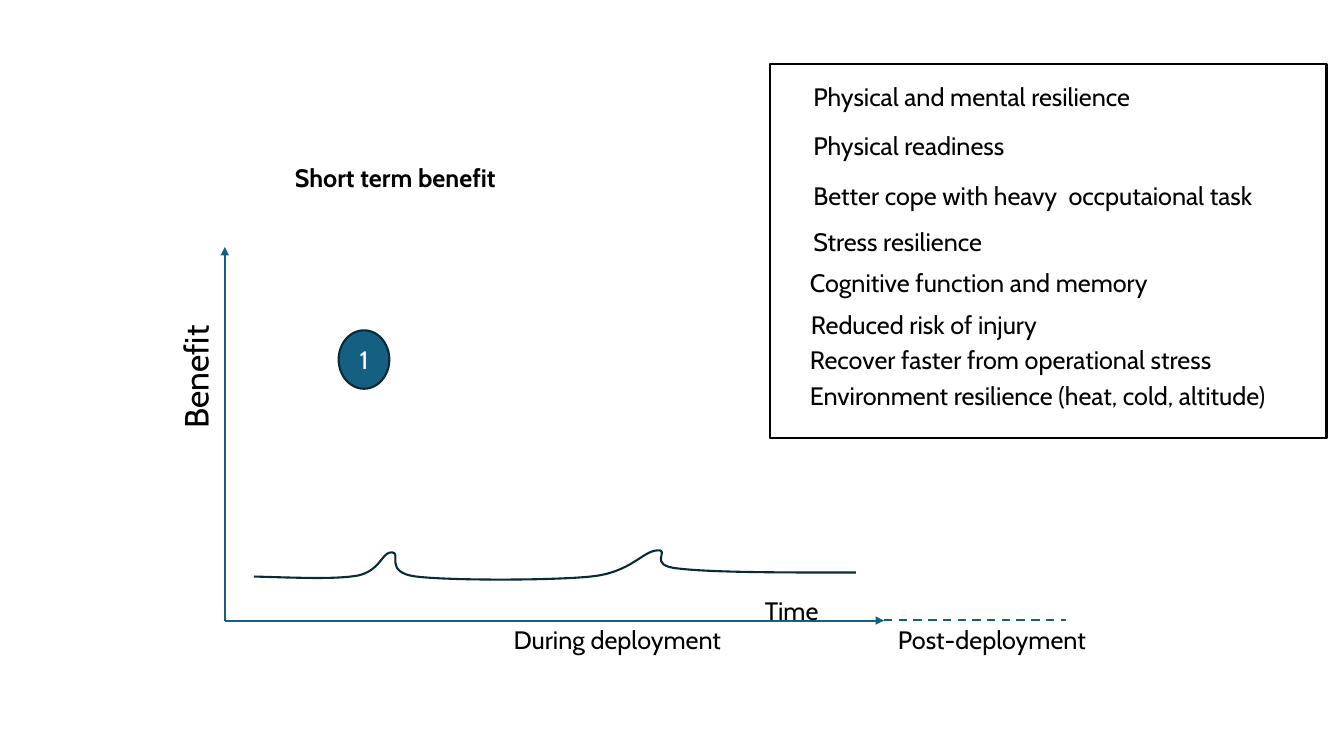
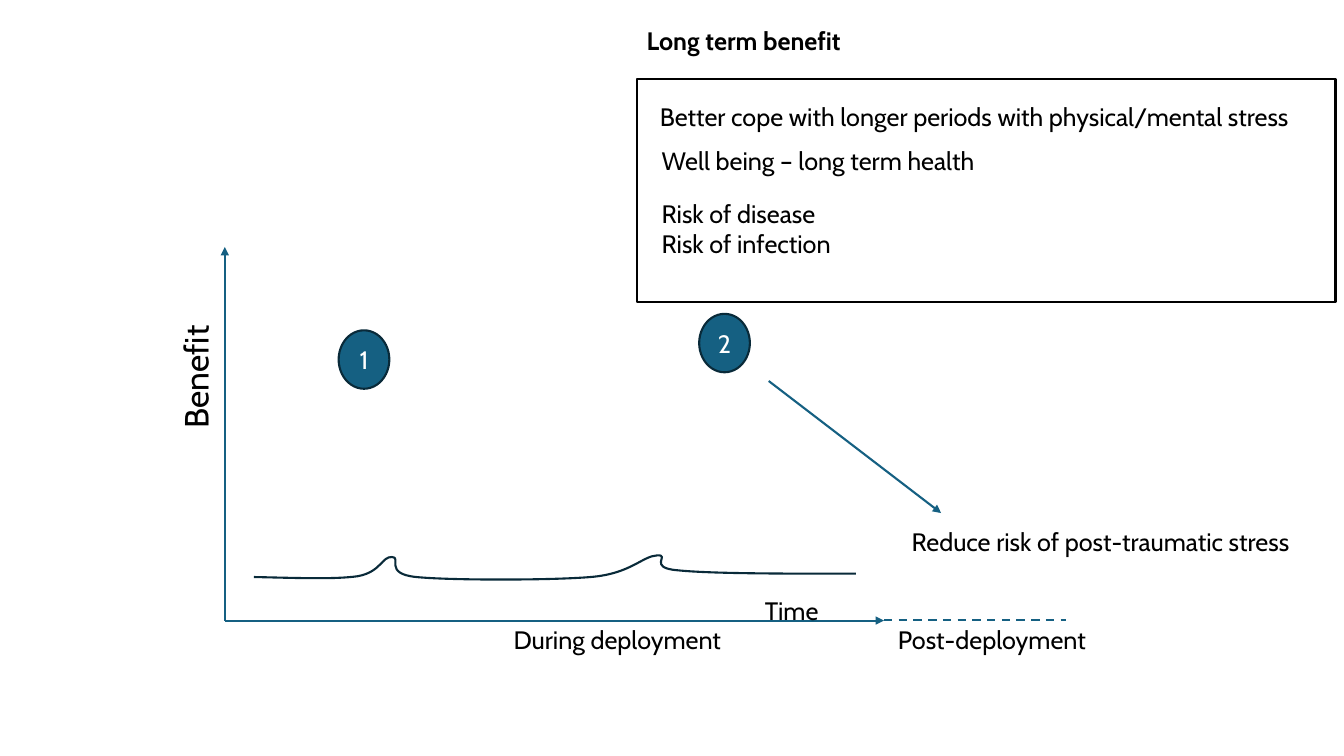
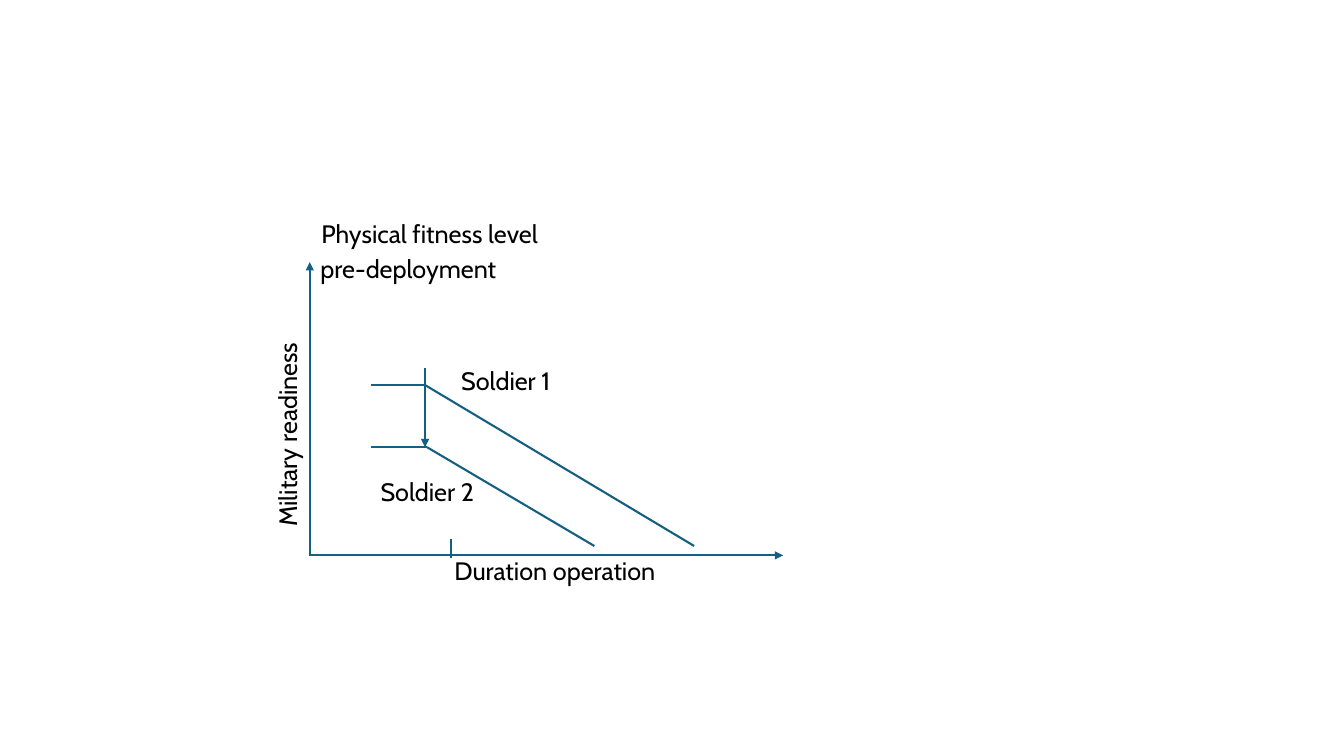
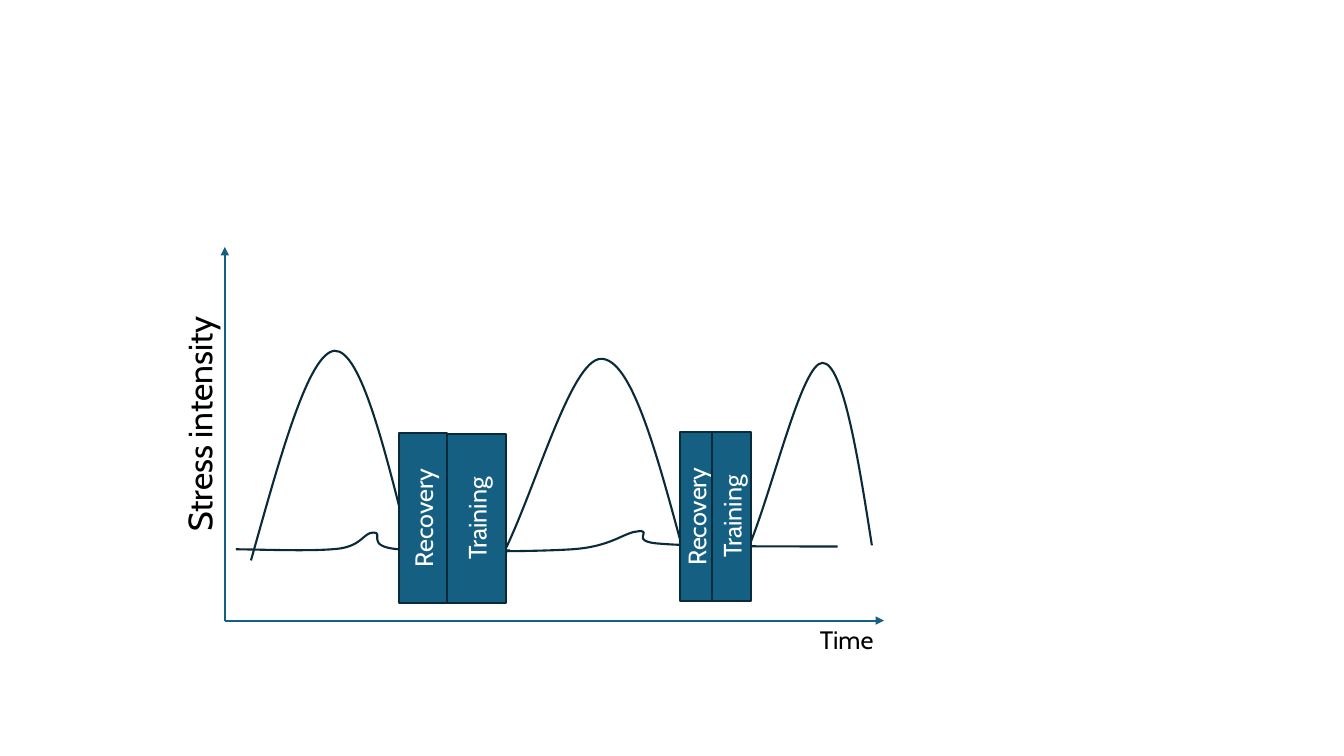
"""Build four slides on readiness, stress and the benefits of fitness in deployment."""
from lxml.etree import SubElement
from pptx import Presentation
from pptx.dml.color import RGBColor as RGB
from pptx.enum.dml import MSO_LINE
from pptx.enum.shapes import MSO_CONNECTOR as CONN, MSO_SHAPE as SHP
from pptx.enum.text import MSO_AUTO_SIZE as AUTO, PP_ALIGN as ALIGN
from pptx.oxml.ns import qn
from pptx.util import Pt

PX = 3048
FONT = "Cabin"
C = {"blue": "156082", "navy": "092A39", "black": "000000", "white": "FFFFFF"}


def add_text(s, text, x, y, w, h=121, size=18, bold=False, rot=0, wrap=False, shape=None):
    box = [v * PX for v in (x, y, w, h)]
    if shape is None:
        sp = s.shapes.add_textbox(*box)
        sp.text_frame.auto_size = AUTO.SHAPE_TO_FIT_TEXT
        sp.text_frame.word_wrap = wrap
    else:
        sp = s.shapes.add_shape(shape, *box)
        sp.shadow.inherit = False
        sp.fill.solid()
        sp.fill.fore_color.rgb = RGB.from_string(C["blue"])
        sp.line.color.rgb = RGB.from_string(C["navy"])
        sp.line.width = Pt(1.5)
    sp.rotation = rot
    tf = sp.text_frame
    for i, line in enumerate(text.split("\n")):
        p = tf.add_paragraph() if i else tf.paragraphs[0]
        p.alignment = ALIGN.CENTER if shape else ALIGN.LEFT
        r = p.add_run()
        r.text = line
        r.font.name = FONT
        r.font.size = Pt(size)
        r.font.bold = bold
        r.font.color.rgb = RGB.from_string(C["white" if shape else "black"])


def add_line(s, x1, y1, x2, y2, arrow=False, dash=False):
    cn = s.shapes.add_connector(CONN.STRAIGHT, x1 * PX, y1 * PX, x2 * PX, y2 * PX)
    cn.line.color.rgb = RGB.from_string(C["blue"])
    cn.line.width = Pt(1.5)
    if dash:
        cn.line.dash_style = MSO_LINE.DASH
    if arrow:
        SubElement(cn.line._get_or_add_ln(), qn("a:tailEnd"), type="triangle")
    SubElement(cn._element.spPr, qn("a:effectLst"))


prs = Presentation()
prs.slide_width, prs.slide_height = 4000 * PX, 2250 * PX
short, long, soldiers, stress = [prs.slides.add_slide(prs.slide_layouts[6]) for _ in range(4)]

for s in (short, long, stress):
    add_line(s, 669, 1847, 2631, 1847, arrow=True)
    add_line(s, 669, 1847, 669, 735, arrow=True)

wave_grid = (597, 29)
wave = [(0, 26), (40, 27), (80, 29), (103, 25), (126, 20), (127, 1), (137, 2), (147, 2),
        (128, 22), (161, 26), (194, 30), (294, 30), (334, 26), (374, 22), (385, 1), (400, 0),
        (414, -1), (389, 15), (421, 18), (454, 22), (525, 22), (597, 22)]
peaks_grid = (616, 208)
peaks = [(0, 208), (29, 105), (57, 2), (83, 0), (109, -1), (133, 98), (158, 198),
         (158, 198), (244, 199), (244, 199), (244, 199), (266, 198), (252, 198),
         (283, 134), (318, 9), (347, 8), (377, 7), (402, 100), (427, 192),
         (427, 192), (495, 192), (495, 192), (519, 132), (547, 12), (567, 12),
         (587, 12), (602, 103), (616, 193)]
for s, pts, grid, box in ((stress, peaks, peaks_grid, (747, 1044, 1848, 624)),
                          (short, wave, wave_grid, (756, 1638, 1791, 87)),
                          (long, wave, wave_grid, (756, 1653, 1791, 72)),
                          (stress, wave, wave_grid, (702, 1581, 1791, 60))):
    fb = s.shapes.build_freeform(*pts[0])
    fb.add_line_segments(pts[3::3], close=False)
    sp = fb.convert_to_shape()
    sp.left, sp.top, sp.width, sp.height = [v * PX for v in box]
    outline = next(sp._element.iter(qn("a:path")))
    outline.set("w", str(grid[0]))
    outline.set("h", str(grid[1]))
    for child in list(outline):
        outline.remove(child)
    steps = [("a:moveTo", pts[:1])]
    for i in range(0, len(pts) - 1, 3):
        start, c1, c2, end = pts[i:i + 4]
        straight = start == c1 and c2 == end
        steps.append(("a:lnTo", [end]) if straight else ("a:cubicBezTo", [c1, c2, end]))
    for tag, stops in steps:
        step = SubElement(outline, qn(tag))
        for x, y in stops:
            SubElement(step, qn("a:pt"), x=str(x), y=str(y))
    sp.shadow.inherit = False
    sp.fill.background()
    sp.line.color.rgb = RGB.from_string(C["navy"])
    sp.line.width = Pt(1.5)

for s in (short, long):
    add_text(s, "Time", 2247, 1756, 219)
    add_text(s, "Benefit", 396, 1043, 372, 151, size=24, rot=270)
    add_text(s, "1", 1008, 983, 151, 174, shape=SHP.OVAL)
    add_text(s, "During deployment", 1499, 1844, 681)
    add_line(s, 2631, 1844, 3174, 1844, dash=True)
    add_text(s, "Post-deployment", 2643, 1844, 621)

add_text(short, "Short term benefit", 848, 468, 687, bold=True)
for text, x, y, w in (
        ("Physical and mental resilience", 2391, 228, 1053),
        ("Physical readiness", 2391, 374, 684),
        ("Better cope with heavy  occputaional task", 2391, 522, 1416),
        ("Stress resilience", 2391, 658, 600),
        ("Cognitive function and memory", 2381, 780, 1080),
        ("Reduced risk of injury", 2384, 906, 759),
        ("Recover faster from operational stress", 2381, 1011, 1299),
        ("Environment resilience (heat, cold, altitude)", 2381, 1118, 1482)):
    add_text(short, text, x, y, w)

add_text(long, "2", 2081, 934, 151, 174, shape=SHP.OVAL)
add_line(long, 2288, 1134, 2801, 1527, arrow=True)
add_text(long, "Well being – long term health", 1940, 419, 996)
add_text(long, "Risk of disease\nRisk of infection", 1940, 574, 582, 212)
add_text(long, "Reduce risk of post-traumatic stress", 2684, 1551, 1239)
add_text(long, "Better cope with longer periods with physical/mental stress", 1934, 286, 1986)
add_text(long, "Long term benefit", 1895, 60, 666, bold=True)

for s, box in ((short, (2292, 191, 1656, 1114)), (long, (1896, 234, 2079, 664))):
    frame = s.shapes.add_shape(SHP.RECTANGLE, *[v * PX for v in box])
    frame.shadow.inherit = False
    frame.fill.background()
    frame.line.color.rgb = RGB.from_string(C["black"])
    frame.line.width = Pt(1.5)

add_line(soldiers, 921, 1653, 2331, 1653, arrow=True)
add_line(soldiers, 922, 1650, 922, 780, arrow=True)
for y, bend, end in ((1146, 1265, 2066), (1331, 1271, 1769)):
    add_line(soldiers, bend, y, end, 1625)
    add_line(soldiers, 1104, y, bend, y)
add_text(soldiers, "Soldier 1", 1343, 1074, 345)
add_text(soldiers, "Soldier 2", 1103, 1404, 345)
add_text(soldiers, "Duration operation", 1323, 1638, 732, wrap=True)
add_text(soldiers, "Physical fitness level", 927, 636, 732, wrap=True)
add_text(soldiers, "pre-deployment", 924, 740, 585)
add_line(soldiers, 1265, 1094, 1265, 1331, arrow=True)
add_line(soldiers, 1343, 1605, 1343, 1660)
add_text(soldiers, "Military readiness", 537, 1218, 636, rot=270)

add_text(stress, "Time", 2411, 1844, 219)
add_text(stress, "Stress intensity", 230, 1173, 726, 151, size=24, rot=270)
for text, x, y, h in (("Recovery", 1007, 1471, 141), ("Training", 1166, 1456, 174),
                      ("Recovery", 1820, 1489, 96), ("Training", 1925, 1479, 117)):
    add_text(stress, text, x, y, 504, h, rot=270, shape=SHP.RECTANGLE)

prs.save("out.pptx")
